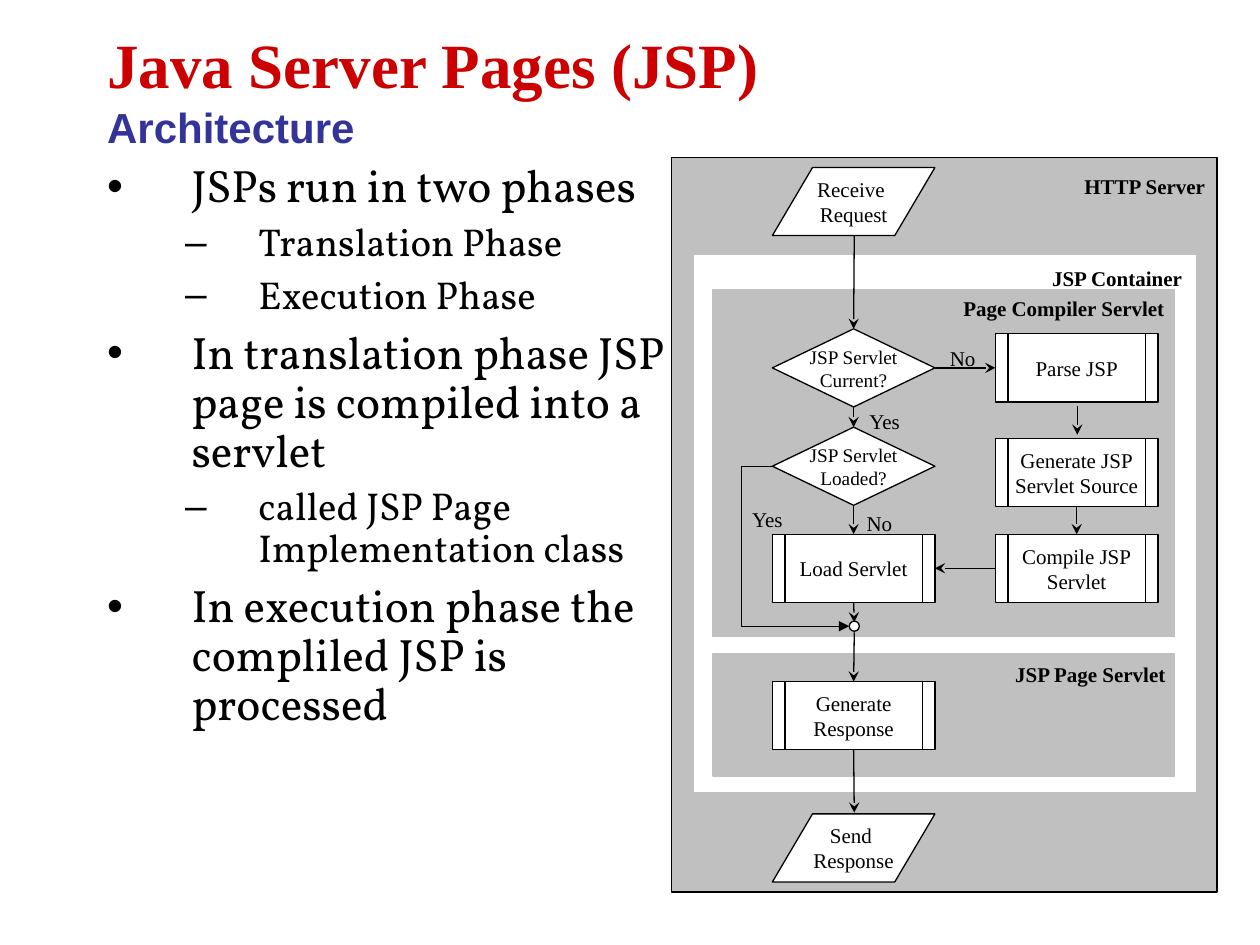
from copy import deepcopy

from lxml.etree import SubElement
from pptx import Presentation
from pptx.dml.color import RGBColor
from pptx.enum.shapes import MSO_CONNECTOR, MSO_SHAPE
from pptx.enum.text import MSO_ANCHOR, MSO_AUTO_SIZE, PP_ALIGN
from pptx.oxml.ns import qn
from pptx.util import Inches, Pt

BLACK = RGBColor(0x00, 0x00, 0x00)
WHITE = RGBColor(0xFF, 0xFF, 0xFF)
GRAY = RGBColor(0xC0, 0xC0, 0xC0)
RED = RGBColor(0xCC, 0x00, 0x00)
INDIGO = RGBColor(0x33, 0x33, 0x99)

SERIF = "Times New Roman"
TOP, LEFT, BOTTOM, RIGHT = range(4)
MAIN_COLUMN, SIDE_COLUMN = 6.13, 7.9
NODE_WIDTH, NODE_HEIGHT, DIAMOND_HEIGHT = 1.29, 0.54, 0.62
MAIN_CENTER = 6.78
SIDE_CENTER = 8.55
BAR_INSET = 0.1


class FlowSlide:
    def __init__(self, slide):
        self.slide = slide
        self.shapes = slide.shapes

    def place(self, shape, left, top, width, height):
        shape.left, shape.top = Inches(left), Inches(top)
        shape.width, shape.height = Inches(width), Inches(height)

    def format_span(self, span, size, name=SERIF, color=BLACK, bold=False):
        span.font.size = Pt(size)
        span.font.name = name
        span.font.color.rgb = color
        span.font.bold = bold

    def title(self, heading, subheading):
        box = self.shapes.title
        self.place(box, 0.75, 0.08, 8.5, 1.25)
        frame = box.text_frame
        frame.auto_size = MSO_AUTO_SIZE.NONE
        frame.vertical_anchor = MSO_ANCHOR.MIDDLE
        frame.text = f"{heading}\v{subheading}"
        para = frame.paragraphs[0]
        para.alignment = PP_ALIGN.LEFT
        first, second = para.runs
        self.format_span(first, 36, SERIF, RED, True)
        self.format_span(second, 24, "Arial", INDIGO, True)
        line_break = first._r.getnext()
        line_break.append(deepcopy(first._r.rPr))

    def body(self, items):
        box = self.slide.placeholders[1]
        self.place(box, 0.75, 1.25, 4.67, 5.92)
        frame = box.text_frame
        frame.auto_size = MSO_AUTO_SIZE.NONE
        frame.text = "\n".join(text for level, text in items)
        styles = [(25.9, 7, 0.67, -0.67), (22.2, 6, 1.2, -0.58)]
        for para, (level, text) in zip(frame.paragraphs, items):
            size, space, margin, indent = styles[level]
            para.level = level
            para.line_spacing = 0.9
            para.space_before = Pt(space)
            properties = para._p.get_or_add_pPr()
            properties.set("marL", str(Inches(margin)))
            properties.set("indent", str(Inches(indent)))
            self.format_span(para.runs[0], size, "Vollkorn")

    def shape(self, kind, left, top, width, height, fill=WHITE, line=BLACK):
        shape = self.shapes.add_shape(
            kind, Inches(left), Inches(top), Inches(width), Inches(height))
        shape.shadow.inherit = False
        shape.fill.solid()
        shape.fill.fore_color.rgb = fill
        shape.line.color.rgb = line
        shape.line.width = Pt(0.75)
        return shape

    def node(self, kind, left, top, text, height=NODE_HEIGHT, size=12):
        shape = self.shape(kind, left, top, NODE_WIDTH, height)
        frame = shape.text_frame
        frame.word_wrap = False
        frame.vertical_anchor = MSO_ANCHOR.MIDDLE
        frame.text = text
        for para in frame.paragraphs:
            para.alignment = PP_ALIGN.CENTER
            self.format_span(para.runs[0], size)
        return shape

    def terminal(self, top, text):
        shape = self.node(MSO_SHAPE.PARALLELOGRAM, MAIN_COLUMN, top, text)
        shape.adjustments[0] = 0.59
        return shape

    def decision(self, top, text):
        return self.node(MSO_SHAPE.DIAMOND, MAIN_COLUMN, top, text,
                         DIAMOND_HEIGHT, 11)

    def process(self, left, top, text):
        shape = self.node(MSO_SHAPE.RECTANGLE, left, top, text)
        for x in (left + BAR_INSET, left + NODE_WIDTH - BAR_INSET):
            self.line((x, top), (x, top + NODE_HEIGHT))
        return shape

    def line(self, start, end, kind=MSO_CONNECTOR.STRAIGHT, head=None):
        points = [Inches(value) for value in (*start, *end)]
        connector = self.shapes.add_connector(kind, *points)
        connector.line.color.rgb = BLACK
        connector.line.width = Pt(0.75)
        if head:
            SubElement(connector.line._get_or_add_ln(), qn("a:tailEnd"),
                       type=head)
        SubElement(connector._element.spPr, qn("a:effectLst"))
        return connector

    def arrow(self, start, end, source=None, target=None):
        connector = self.line(start, end, head="stealth")
        if source:
            connector.begin_connect(*source)
        if target:
            connector.end_connect(*target)

    def bypass(self, start, end, adjustment):
        connector = self.line(start, end, MSO_CONNECTOR.ELBOW, "triangle")
        guides = connector._element.spPr.find(qn("a:prstGeom")).get_or_add_avLst()
        SubElement(guides, qn("a:gd"), name="adj1",
                   fmla=f"val {round(adjustment * 100000)}")

    def label(self, left, top, width, text, bold=False):
        box = self.shapes.add_textbox(
            Inches(left), Inches(top), Inches(width), Inches(0.3))
        frame = box.text_frame
        frame.word_wrap = True
        frame.text = text
        para = frame.paragraphs[0]
        para.alignment = PP_ALIGN.CENTER
        para.space_before = Pt(7.5)
        self.format_span(para.runs[0], 12, bold=bold)


def main():
    deck = Presentation()
    deck.slide_width, deck.slide_height = Inches(10), Inches(7.5)
    page = FlowSlide(deck.slides.add_slide(deck.slide_layouts[1]))

    page.body([
        (0, "JSPs run in two phases"),
        (1, "Translation Phase"),
        (1, "Execution Phase"),
        (0, "In translation phase JSP page is compiled into a servlet"),
        (1, "called JSP Page Implementation class"),
        (0, "In execution phase the compliled JSP is processed"),
    ])
    page.title("Java Server Pages (JSP) ", "Architecture")

    for left, top, width, height, fill, line in [
        (5.33, 1.25, 4.33, 5.83, GRAY, BLACK),
        (5.51, 2.03, 3.98, 4.25, WHITE, WHITE),
        (5.66, 2.3, 3.66, 2.75, GRAY, GRAY),
        (5.66, 5.19, 3.66, 0.97, GRAY, GRAY),
    ]:
        page.shape(MSO_SHAPE.RECTANGLE, left, top, width, height, fill, line)

    page.terminal(6.46, "Send \nResponse")
    page.terminal(1.33, "Receive \nRequest")
    load = page.process(MAIN_COLUMN, 4.24, "Load Servlet")
    compiling = page.process(SIDE_COLUMN, 4.24, "Compile JSP\nServlet")
    source = page.process(SIDE_COLUMN, 3.48, "Generate JSP\nServlet Source")
    parsing = page.process(SIDE_COLUMN, 2.65, "Parse JSP")
    current = page.decision(2.61, "JSP Servlet\nCurrent?")
    loaded = page.decision(3.39, "JSP Servlet\nLoaded?")
    response = page.process(MAIN_COLUMN, 5.41, "Generate\nResponse")

    for x, top, bottom, begin, end in [
        (SIDE_CENTER, 3.22, 3.45, None, None),
        (SIDE_CENTER, 4.01, 4.24, (source, BOTTOM), (compiling, TOP)),
        (MAIN_CENTER, 1.87, 2.61, None, (current, TOP)),
        (MAIN_CENTER, 3.23, 3.39, (current, BOTTOM), (loaded, TOP)),
        (MAIN_CENTER, 4.01, 4.24, (loaded, BOTTOM), (load, TOP)),
        (MAIN_CENTER, 4.79, 4.94, (load, BOTTOM), None),
        (MAIN_CENTER, 5.02, 5.41, None, (response, TOP)),
        (MAIN_CENTER, 5.95, 6.45, (response, BOTTOM), None),
    ]:
        page.arrow((x, top), (x, bottom), begin, end)
    page.arrow((7.42, 2.92), (7.9, 2.92), (current, RIGHT), (parsing, LEFT))
    page.arrow((7.9, 4.5), (7.42, 4.5), (compiling, LEFT), (load, RIGHT))
    page.shape(MSO_SHAPE.OVAL, 6.74, 4.93, 0.08, 0.08)
    page.bypass((6.13, 3.7), (6.74, 4.97), -0.4)

    for left, top, width, text in [
        (6.66, 3.19, 0.72, "Yes"),
        (7.37, 2.69, 0.54, "No"),
        (6.71, 4, 0.54, "No"),
        (5.73, 3.97, 0.72, "Yes"),
    ]:
        page.label(left, top, width, text)
    for left, top, width, text in [
        (8.46, 1.33, 1.29, "HTTP Server "),
        (8.24, 2.06, 1.29, "JSP Container "),
        (7.42, 2.3, 2.09, "Page Compiler Servlet "),
        (7.95, 5.2, 1.45, "JSP Page Servlet "),
    ]:
        page.label(left, top, width, text, bold=True)

    deck.save("out.pptx")


if __name__ == "__main__":
    main()
